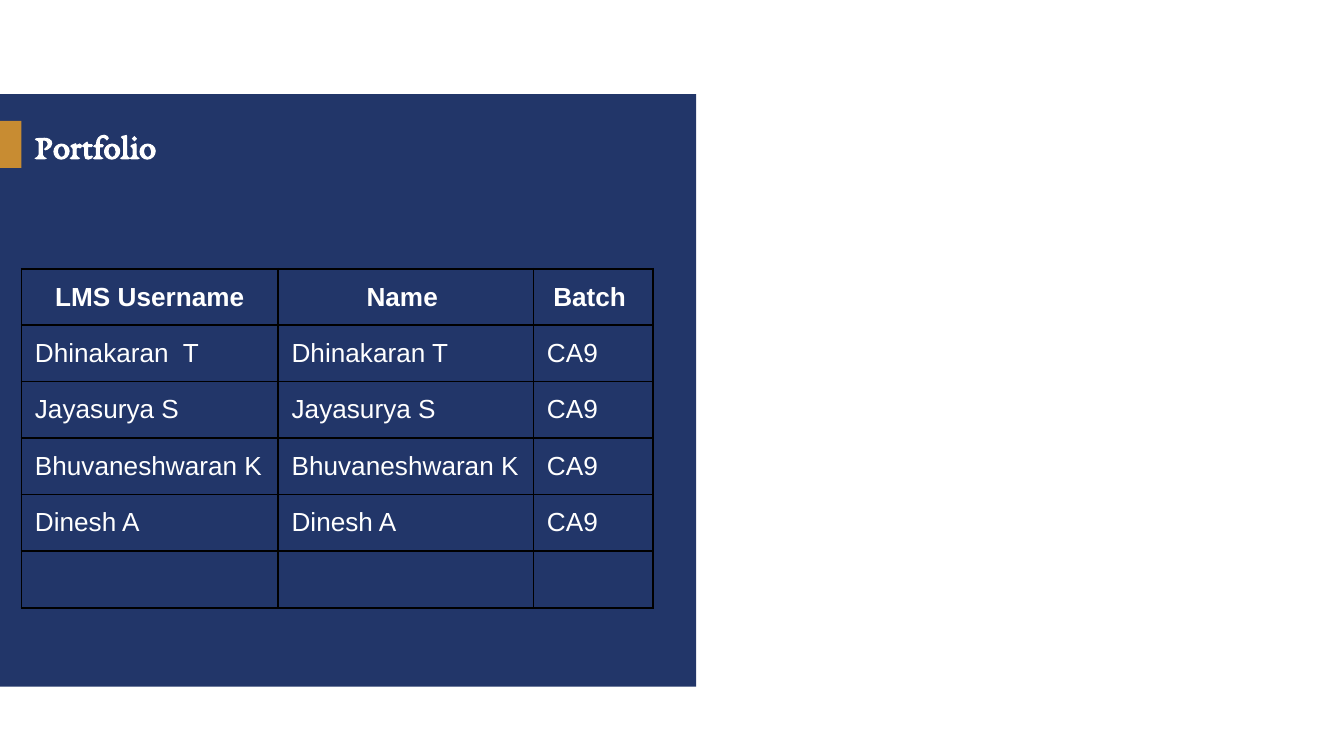
import pptx
import pptx.dml.color
import pptx.enum.shapes
import pptx.enum.text
import pptx.oxml
import pptx.oxml.ns
import pptx.util

Inches = pptx.util.Inches
ALIGN = pptx.enum.text.PP_ALIGN
MIDDLE = pptx.enum.text.MSO_ANCHOR.MIDDLE

NAVY, GOLD, WHITE, BLACK = "223669", "C88C32", "FFFFFF", "000000"
TITLE_FONT = {"name": "EB Garamond", "size": pptx.util.Pt(18.3), "bold": True}
HEAD_FONT = {"name": "Arial", "size": pptx.util.Pt(14), "bold": True}
BODY_FONT = {**HEAD_FONT, "bold": False}
CELL_FORMAT = {
    "margin_left": Inches(0.1),
    "margin_right": Inches(0.1),
    "margin_top": Inches(0.06),
    "margin_bottom": Inches(0.06),
    "vertical_anchor": MIDDLE,
}
TITLE_FORMAT = {
    "margin_left": Inches(0.1),
    "margin_right": Inches(0.1),
    "margin_top": Inches(0.05),
    "margin_bottom": Inches(0.05),
    "vertical_anchor": MIDDLE,
    "word_wrap": True,
    "auto_size": pptx.enum.text.MSO_AUTO_SIZE.NONE,
}
STUDENTS = ["Dhinakaran T", "Jayasurya S", "Bhuvaneshwaran K", "Dinesh A"]
USERNAMES = ["Dhinakaran  T"] + STUDENTS[1:]
ROWS = [
    ["LMS Username", "Name ", "Batch "],
    *([user, name, "CA9"] for user, name in zip(USERNAMES, STUDENTS)),
    ["", "", ""],
]


def rgb(value):
    return pptx.dml.color.RGBColor.from_string(value)


def apply(obj, values):
    for name, value in values.items():
        setattr(obj, name, value)


def write(tf, text, font, align):
    p = tf.paragraphs[0]
    p.alignment = align
    if text:
        r = p.add_run()
        r.text = text
        apply(r.font, font)
        r.font.color.rgb = rgb(WHITE)


def add_rect(s, x, y, w, h, color):
    sp = s.shapes.add_shape(
        pptx.enum.shapes.MSO_SHAPE.RECTANGLE, *map(Inches, (x, y, w, h)))
    sp.shadow.inherit = False
    sp.fill.solid()
    sp.fill.fore_color.rgb = rgb(color)
    sp.line.fill.background()


def set_borders(cell, color, width):
    tc_pr = cell._tc.get_or_add_tcPr()
    for side in ("lnL", "lnR", "lnT", "lnB"):
        tc_pr.append(pptx.oxml.parse_xml(
            f'<a:{side} {pptx.oxml.ns.nsdecls("a")} w="{pptx.util.Pt(width)}">'
            f'<a:solidFill><a:srgbClr val="{color}"/></a:solidFill></a:{side}>'))


def add_heading(s, x, y, w, h):
    add_rect(s, x, y, 0.16, h, GOLD)
    title = s.shapes.title
    apply(title, {"left": Inches(x + 0.16), "top": Inches(y - 0.01),
                  "width": Inches(w), "height": Inches(h + 0.03)})
    apply(title.text_frame, TITLE_FORMAT)
    write(title.text_frame, "Portfolio", TITLE_FONT, ALIGN.LEFT)
    title.element.getparent().append(title.element)


def add_student_table(s, x, y, widths, row_height):
    frame = s.shapes.add_table(
        len(ROWS), len(widths), Inches(x), Inches(y),
        Inches(sum(widths)), Inches(row_height * len(ROWS)))
    table = frame.table
    apply(table, {"first_row": False, "horz_banding": False})
    for column, width in zip(table.columns, widths):
        column.width = Inches(width)
    for i, texts in enumerate(ROWS):
        table.rows[i].height = Inches(row_height)
        font, align = (BODY_FONT, ALIGN.LEFT) if i else (HEAD_FONT, ALIGN.CENTER)
        for j, text in enumerate(texts):
            cell = table.cell(i, j)
            apply(cell, CELL_FORMAT)
            set_borders(cell, BLACK, 1)
            cell.fill.background()
            write(cell.text_frame, text, font, align)


def add_portfolio_panel(s, x, y, w, h):
    add_rect(s, x, y, w, h, NAVY)
    add_heading(s, x, y + 0.2, 3.74, 0.35)
    add_student_table(s, x + 0.16, y + 1.3, [1.91, 1.9, 0.89], 0.42)


def main():
    prs = pptx.Presentation()
    width = Inches(10)
    apply(prs, {"slide_width": width, "slide_height": width * 9 // 16})
    s = prs.slides.add_slide(prs.slide_layouts.get_by_name("Title Only"))
    add_portfolio_panel(s, 0, 0.7, 5.18, 4.41)
    prs.save("out.pptx")


if __name__ == "__main__":
    main()
